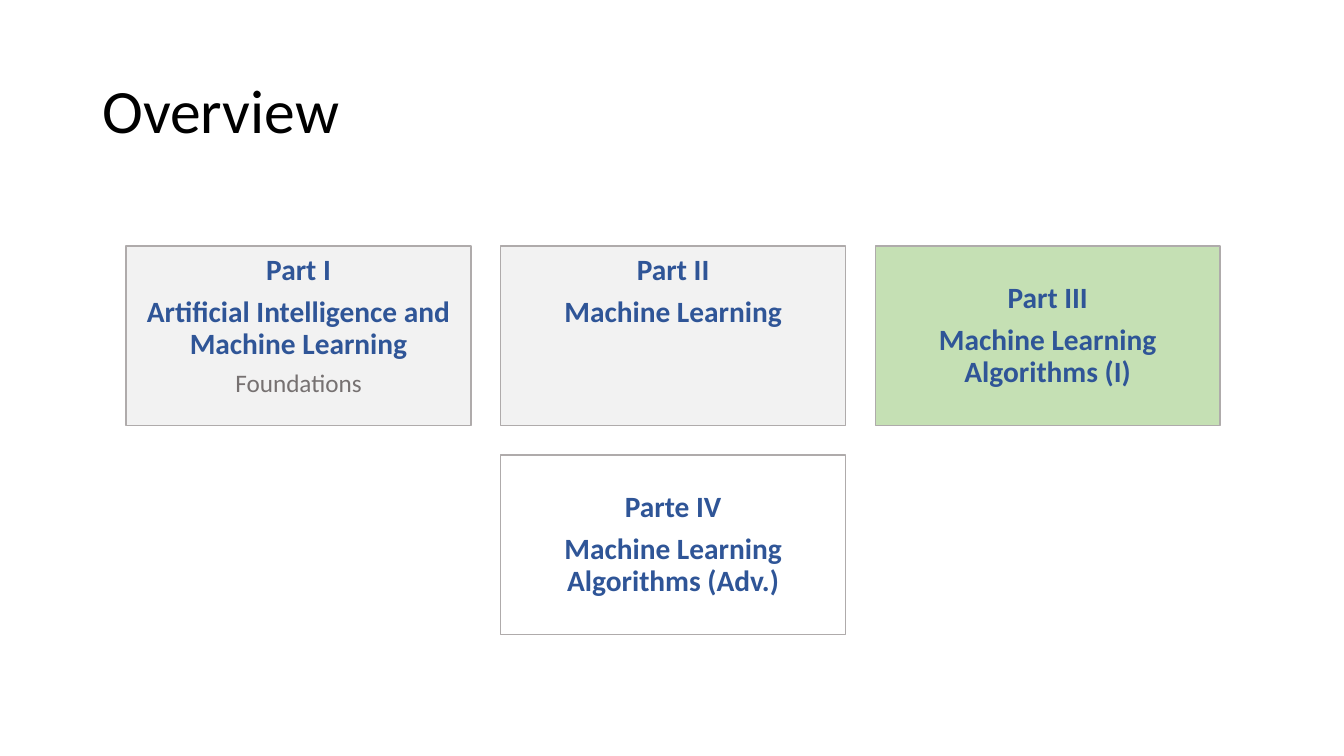
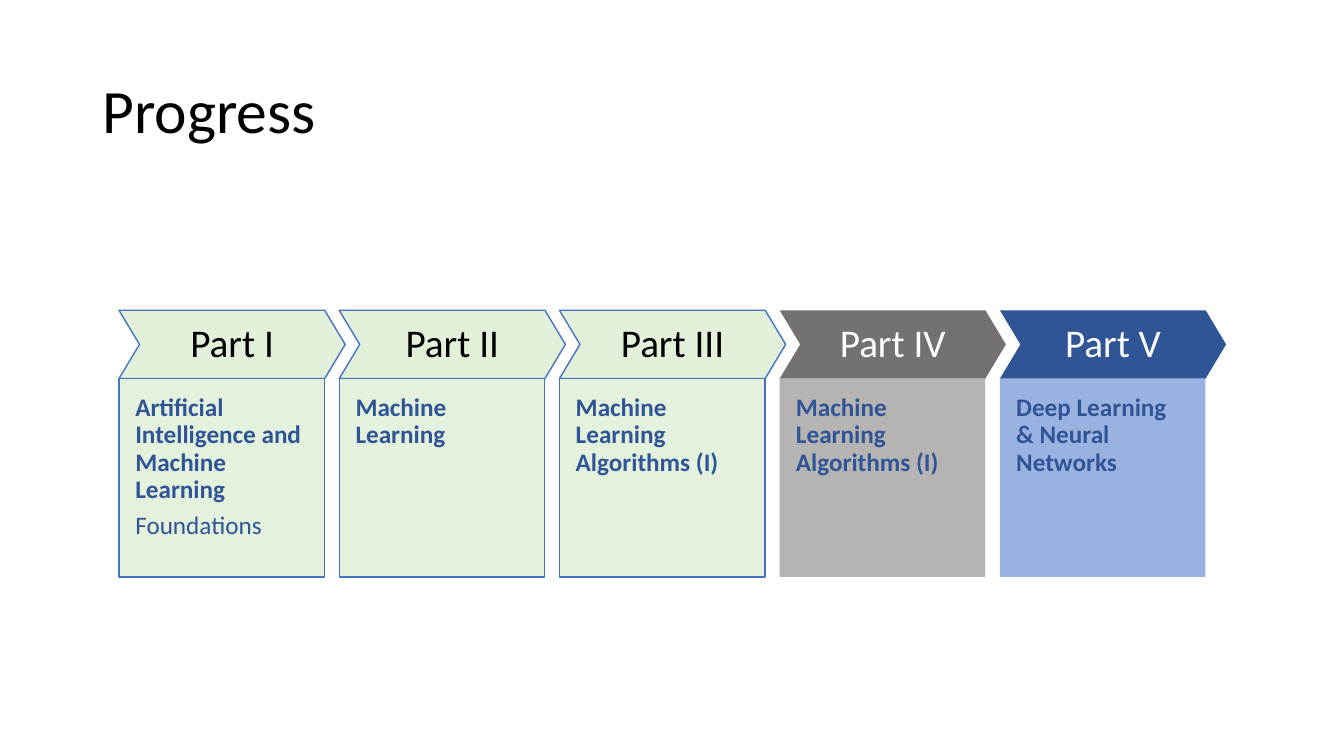
from dataclasses import dataclass

from lxml.etree import SubElement
from pptx import Presentation
from pptx.dml.color import RGBColor
from pptx.enum.shapes import MSO_SHAPE
from pptx.enum.text import MSO_ANCHOR, PP_ALIGN
from pptx.oxml.ns import qn
from pptx.util import Cm, Pt

BLACK = RGBColor(0x00, 0x00, 0x00)
WHITE = RGBColor(0xFF, 0xFF, 0xFF)
NAVY = RGBColor(0x2F, 0x55, 0x97)
BLUE = RGBColor(0x44, 0x72, 0xC4)
LIGHT_BLUE = RGBColor(0x8F, 0xAA, 0xDC)
DARK_GRAY = RGBColor(0x76, 0x71, 0x71)
GRAY = RGBColor(0xAF, 0xAB, 0xAB)
PALE_GRAY = RGBColor(0xF2, 0xF2, 0xF2)
GREEN = RGBColor(0xC5, 0xE0, 0xB4)
PALE_GREEN = RGBColor(0xE2, 0xF0, 0xD9)

CARD_LEFT, CARD_TOP = 3.18, 6.2
CARD_WIDTH, CARD_HEIGHT, CARD_GAP = 8.69, 4.52, 0.75

STEP_LEFT, STEP_TOP, STEP_PITCH = 3, 7.82, 5.55
ARROW_WIDTH, ARROW_HEIGHT = 5.7, 1.72
PANEL_WIDTH, PANEL_HEIGHT = 5.18, 5


@dataclass
class TextStyle:
    size: float
    color: RGBColor
    bold: bool = False
    align: PP_ALIGN = PP_ALIGN.LEFT
    space_after: float = 0.35


TITLE = TextStyle(44, BLACK, space_after=0)
CARD_HEADING = TextStyle(21, NAVY, True, PP_ALIGN.CENTER)
CARD_NOTE = TextStyle(18, DARK_GRAY, False, PP_ALIGN.CENTER)
PANEL_HEADING = TextStyle(18, NAVY, True)
PANEL_NOTE = TextStyle(18, NAVY)


class SlideBuilder:
    font = "Calibri"

    def __init__(self):
        self.deck = Presentation()
        self.deck.slide_width = Cm(33.87)
        self.deck.slide_height = Cm(19.05)
        self.page = None

    def new_page(self, title):
        self.page = self.deck.slides.add_slide(self.deck.slide_layouts[6])
        box = self.page.shapes.add_textbox(Cm(2.33), Cm(1.01), Cm(29.21), Cm(3.68))
        self.set_text(box, [(title, TITLE)], MSO_ANCHOR.MIDDLE, (0.25, 0.13, 0.25, 0.13))

    def set_text(self, box, lines, anchor, insets):
        frame = box.text_frame
        frame.word_wrap = True
        frame.vertical_anchor = anchor
        frame.margin_left, frame.margin_top, frame.margin_right, frame.margin_bottom = map(Cm, insets)
        frame.text = "\n".join(text for text, style in lines)
        for para, (text, style) in zip(frame.paragraphs, lines):
            para.alignment = style.align
            para.line_spacing = 0.9
            para.space_after = Pt(style.size * style.space_after)
            for span in para.runs:
                span.font.name = self.font
                span.font.size = Pt(style.size)
                span.font.bold = style.bold
                span.font.color.rgb = style.color

    def shape(self, kind, left, top, width, height, fill, line=None, opacity=100):
        shape = self.page.shapes.add_shape(kind, Cm(left), Cm(top), Cm(width), Cm(height))
        shape.shadow.inherit = False
        shape.fill.solid()
        shape.fill.fore_color.rgb = fill
        if opacity < 100:
            color = shape.element.spPr.find(qn("a:solidFill"))[0]
            SubElement(color, qn("a:alpha")).set("val", str(opacity * 1000))
        if line is None:
            shape.line.fill.background()
        else:
            shape.line.color.rgb = line
            shape.line.width = Pt(1)
        return shape

    def card(self, column, row, fill, anchor, headings, notes=()):
        left = CARD_LEFT + column * (CARD_WIDTH + CARD_GAP)
        top = CARD_TOP + row * (CARD_HEIGHT + CARD_GAP)
        box = self.shape(MSO_SHAPE.RECTANGLE, left, top, CARD_WIDTH, CARD_HEIGHT, fill, GRAY)
        lines = [(text, CARD_HEADING) for text in headings]
        lines += [(text, CARD_NOTE) for text in notes]
        self.set_text(box, lines, anchor, (0.2, 0.23, 0.2, 0.23))

    def step(self, index, label, label_color, arrow_fill, panel_fill, line, heading, notes=()):
        left = STEP_LEFT + index * STEP_PITCH
        arrow = self.shape(MSO_SHAPE.CHEVRON, left, STEP_TOP, ARROW_WIDTH, ARROW_HEIGHT, arrow_fill, line)
        arrow.adjustments[0] = 0.3
        label_style = TextStyle(28, label_color, align=PP_ALIGN.CENTER)
        self.set_text(arrow, [(label, label_style)], MSO_ANCHOR.MIDDLE, (0.2, 0.2, 0.2, 0.2))

        panel = self.shape(MSO_SHAPE.RECTANGLE, left, STEP_TOP + ARROW_HEIGHT,
                           PANEL_WIDTH, PANEL_HEIGHT, panel_fill, line, opacity=90)
        lines = [(heading, PANEL_HEADING)] + [(text, PANEL_NOTE) for text in notes]
        self.set_text(panel, lines, MSO_ANCHOR.TOP, (0.41, 0.41, 0.41, 0.81))


def build_overview(builder):
    builder.new_page("Overview")
    builder.card(0, 0, PALE_GRAY, MSO_ANCHOR.TOP,
                 ["Part I", "Artificial Intelligence and Machine Learning"], ["Foundations"])
    builder.card(1, 0, PALE_GRAY, MSO_ANCHOR.TOP, ["Part II", "Machine Learning"])
    builder.card(2, 0, GREEN, MSO_ANCHOR.MIDDLE, ["Part III", "Machine Learning Algorithms (I)"])
    builder.card(1, 1, WHITE, MSO_ANCHOR.MIDDLE, ["Parte IV", "Machine Learning Algorithms (Adv.)"])


def build_progress(builder):
    builder.new_page("Progress")
    done = (BLACK, PALE_GREEN, PALE_GREEN, BLUE)
    current = (WHITE, DARK_GRAY, GRAY, None)
    upcoming = (WHITE, NAVY, LIGHT_BLUE, None)
    steps = [
        ("Part I", done, "Artificial Intelligence and Machine Learning", ["Foundations"]),
        ("Part II", done, "Machine Learning", []),
        ("Part III", done, "Machine Learning Algorithms (I)", []),
        ("Part IV", current, "Machine Learning Algorithms (I)", []),
        ("Part V", upcoming, "Deep Learning & Neural Networks", []),
    ]
    for index, (label, colors, heading, notes) in enumerate(steps):
        builder.step(index, label, *colors, heading, notes)


def main():
    builder = SlideBuilder()
    build_overview(builder)
    build_progress(builder)
    builder.deck.save("out.pptx")


if __name__ == "__main__":
    main()
